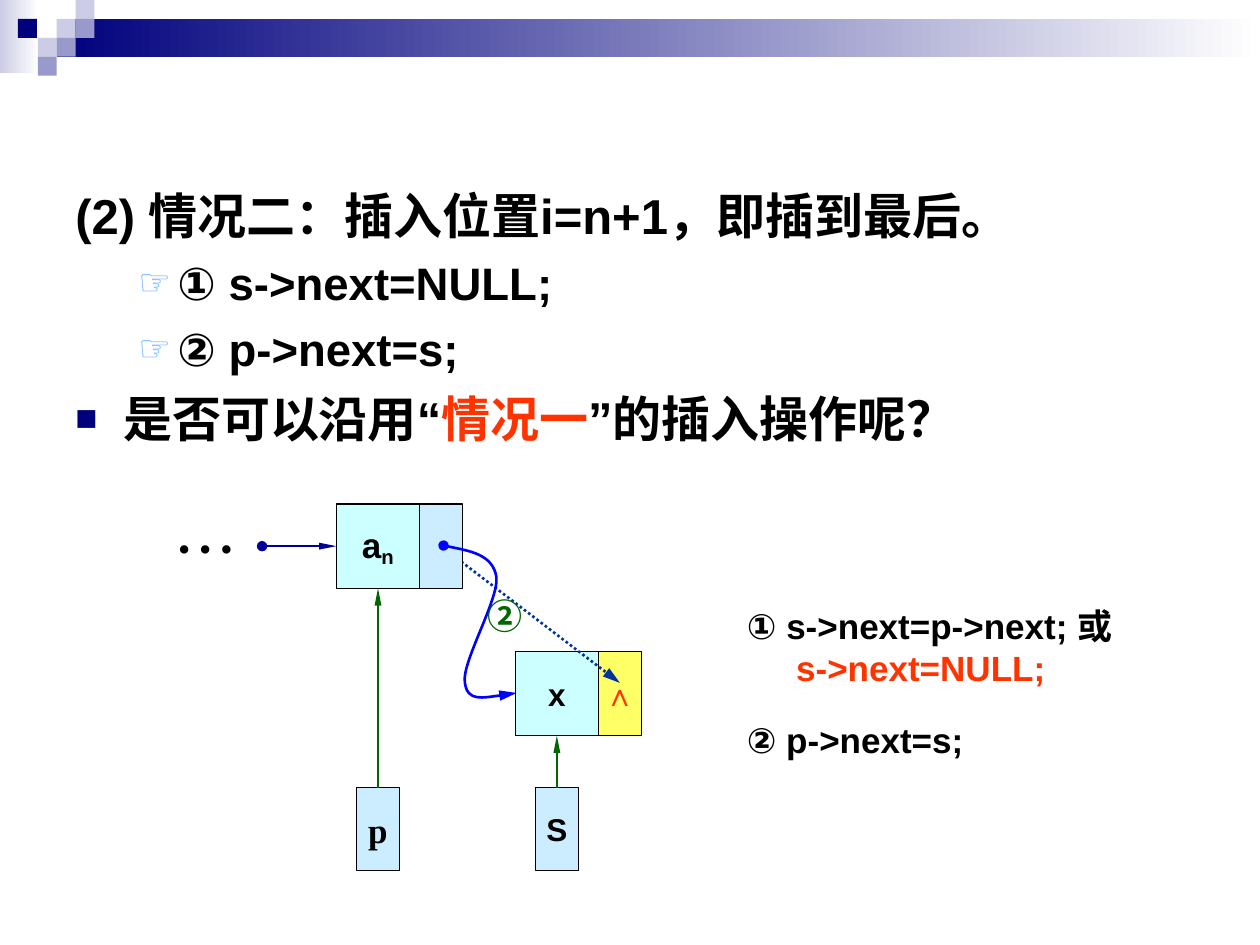
from lxml.etree import SubElement
from pptx import Presentation
from pptx.dml.color import RGBColor
from pptx.enum.dml import MSO_LINE as Dash
from pptx.enum.shapes import MSO_CONNECTOR as Link, MSO_SHAPE as Shape
from pptx.enum.text import MSO_ANCHOR as Anchor, PP_ALIGN as Align
from pptx.oxml.ns import qn
from pptx.util import Inches, Pt

BLACK = RGBColor(0x00, 0x00, 0x00)
WHITE = RGBColor(0xFF, 0xFF, 0xFF)
NAVY = RGBColor(0x00, 0x00, 0x7D)
LILAC = RGBColor(0xCC, 0xCC, 0xE6)
MAUVE = RGBColor(0x99, 0x99, 0xCC)
AQUA = RGBColor(0xCC, 0xFF, 0xFF)
PALE = RGBColor(0xCC, 0xEC, 0xFF)
YELLOW = RGBColor(0xFF, 0xFF, 0x66)
RED = RGBColor(0xFF, 0x33, 0x00)
GREEN = RGBColor(0x00, 0x66, 0x00)
SKY = RGBColor(0x67, 0xAF, 0xFF)
INK = RGBColor(0x00, 0x00, 0x99)
STEEL = RGBColor(0x00, 0x33, 0x99)
BLUE = RGBColor(0x00, 0x00, 0xFF)


def add_bullet(props, mark, color, size):
    tint = SubElement(props, qn("a:buClr"))
    SubElement(tint, qn("a:srgbClr"), val=str(color))
    SubElement(props, qn("a:buSzPct"), val=str(size * 1000))
    SubElement(props, qn("a:buFont"), typeface="Arial")
    SubElement(props, qn("a:buChar"), char=mark)


def write(frame, text, size=20, font="Arial", color=BLACK, bold=True,
          align=Align.LEFT, before=0, left=0, hang=0, bullet=None):
    para = frame.paragraphs[0]
    if para.runs:
        para = frame.add_paragraph()
    para.alignment = align
    para.space_before = Pt(before)
    props = para._p.get_or_add_pPr()
    props.set("marL", str(Inches(left)))
    props.set("indent", str(-Inches(hang)))
    if bullet:
        add_bullet(props, *bullet)
    parts = [(text, color)] if isinstance(text, str) else text
    for words, tint in parts:
        run = para.add_run()
        run.text = words
        run.font.size = Pt(size)
        run.font.name = font
        run.font.bold = bold
        run.font.color.rgb = tint
        SubElement(run._r.get_or_add_rPr(), qn("a:ea"), typeface=font)
    return para


def add_text(slide, x, y, w, h, wrap=True):
    box = slide.shapes.add_textbox(Inches(x), Inches(y), Inches(w), Inches(h))
    box.text_frame.word_wrap = wrap
    return box.text_frame


def add_rect(slide, x, y, w, h, fill, fade=False, edge=False):
    rect = slide.shapes.add_shape(
        Shape.RECTANGLE, Inches(x), Inches(y), Inches(w), Inches(h))
    rect.shadow.inherit = False
    if fade:
        rect.fill.gradient()
        rect.fill.gradient_angle = 0
        for stop, color in zip(rect.fill.gradient_stops, (fill, WHITE)):
            stop.color.rgb = color
    else:
        rect.fill.solid()
        rect.fill.fore_color.rgb = fill
    if edge:
        rect.line.color.rgb = BLACK
        rect.line.width = Pt(0.75)
    else:
        rect.line.fill.background()
    return rect


def add_cell(slide, x, y, w, h, fill, text=None, **form):
    cell = add_rect(slide, x, y, w, h, fill, edge=True)
    if text:
        frame = cell.text_frame
        frame.margin_left = frame.margin_right = 0
        frame.margin_top = frame.margin_bottom = 0
        frame.word_wrap = False
        frame.vertical_anchor = Anchor.MIDDLE
        write(frame, text, align=Align.CENTER, **form)
    return cell


def style_line(shape, color, dot=False, wide="sm"):
    shape.line.color.rgb = color
    shape.line.width = Pt(1.5)
    line = shape.line._get_or_add_ln()
    if dot:
        SubElement(line, qn("a:headEnd"), type="oval")
    SubElement(line, qn("a:tailEnd"), type="triangle", w=wide, len="lg")


def add_arrow(slide, x1, y1, x2, y2, color, dash=None, **form):
    arrow = slide.shapes.add_connector(
        Link.STRAIGHT, Inches(x1), Inches(y1), Inches(x2), Inches(y2))
    if dash:
        arrow.line.dash_style = dash
    style_line(arrow, color, **form)
    SubElement(arrow._element.spPr, qn("a:effectLst"))
    return arrow


def add_curve(slide, points, color):
    start, *rest = [(Inches(x), Inches(y)) for x, y in points]
    pen = slide.shapes.build_freeform(*start)
    pen.add_line_segments(rest, close=False)
    curve = pen.convert_to_shape()
    steps = curve._element.findall(".//" + qn("a:lnTo"))
    for i in range(0, len(steps), 3):
        bend = SubElement(steps[i].getparent(), qn("a:cubicBezTo"))
        for step in steps[i:i + 3]:
            bend.append(step[0])
            step.getparent().remove(step)
    curve.fill.background()
    curve.shadow.inherit = False
    style_line(curve, color, dot=True, wide="med")


def draw_banner(slide, x, y, w):
    unit = 0.15
    add_rect(slide, x, y, 0.31, 0.58, LILAC, fade=True)
    add_rect(slide, x + 3 * unit, y + unit, w - 3 * unit, 2 * unit, NAVY, fade=True)
    tiles = [(3, 1, LILAC), (4, 0, LILAC), (4, 1, MAUVE), (2, 2, LILAC),
             (0.95, 1, NAVY), (3, 2, MAUVE), (2, 3, MAUVE)]
    for col, row, fill in tiles:
        add_rect(slide, x + col * unit, y + row * unit, unit, unit, fill)


def draw_body(slide, x, y, w, h):
    frame = add_text(slide, x, y, w, h)
    write(frame, "(2) 情况二：插入位置i=n+1，即插到最后。", size=28, left=0.38, hang=0.38)
    for step in ("① s->next=NULL;", "② p->next=s;"):
        write(frame, step, size=26, before=6.5, left=0.81, hang=0.31,
              bullet=("☞", SKY, 80))
    ask = [("是否可以沿用“", BLACK), ("情况一", RED), ("”的插入操作呢？", BLACK)]
    write(frame, ask, size=28, before=7, left=0.38, hang=0.38,
          bullet=("■", NAVY, 75))


def draw_list(slide, x, y):
    data, link, tall = 0.66, 0.34, 0.67
    low = y + 1.17
    base = y + 2.25
    new = x + 1.42
    mid = y + tall / 2
    tail = add_cell(slide, x, y, data, tall, AQUA, "a")
    sub = write_sub(tail.text_frame.paragraphs[0])
    sub.text = "n"
    node = add_cell(slide, new, low, data, tall, AQUA, "x", size=18)
    add_cell(slide, new + data, low, link, tall, YELLOW, "∧", size=18, color=RED)
    for goal, left, name, size, font in (
            (tail, x, "p", 20, "Times New Roman"), (node, new, "S", 18, "Arial")):
        place = left + (data - link) / 2
        ref = add_cell(slide, place, base, link, data, PALE, name, size=size, font=font)
        arrow = add_arrow(slide, place, base, place, low, GREEN)
        arrow.begin_connect(ref, 0)
        arrow.end_connect(goal, 2)
    dots = add_text(slide, x - 1.5, y + 0.17, 0.92, 0.33, wrap=False)
    dots.margin_top = Inches(0.01)
    write(dots, "• • •", font="Times New Roman", bold=False, align=Align.CENTER)
    arrow = add_arrow(slide, x - 0.59, mid, x, mid, INK, dot=True)
    arrow.end_connect(tail, 1)
    add_arrow(slide, x + 0.83, mid, x + 2.25, y + 1.42, STEEL,
              dash=Dash.ROUND_DOT, dot=True, wide="med")
    add_cell(slide, x + data, y, link, tall, PALE)
    bends = [(0.85, 0.33), (1.04, 0.37), (1.24, 0.4), (1.27, 0.58), (1.29, 0.76),
             (0.99, 1.26), (1.02, 1.42), (1.04, 1.57), (1.24, 1.53), (1.43, 1.5)]
    add_curve(slide, [(x + dx, y + dy) for dx, dy in bends], BLUE)
    mark = add_text(slide, x + 1.1, y + 0.67, 0.48, 0.44, wrap=False)
    write(mark, "②", font="Noto Sans CJK SC", color=GREEN)


def write_sub(para):
    run = para.add_run()
    run.font.size = Pt(20)
    run.font.name = "Arial"
    run.font.bold = True
    run.font.color.rgb = BLACK
    run._r.get_or_add_rPr().set("baseline", "-16000")
    return run


def draw_code(slide, x, y):
    frame = add_text(slide, x, y, 3.25, 0.77)
    write(frame, "① s->next=p->next; 或")
    write(frame, "s->next=NULL;", color=RED, left=0.39)
    write(add_text(slide, x, y + 0.9, 1.96, 0.44, wrap=False), "② p->next=s;")


def main():
    deck = Presentation()
    deck.slide_width, deck.slide_height = Inches(10), Inches(7.5)
    slide = deck.slides.add_slide(deck.slide_layouts[6])
    draw_banner(slide, 0, 0, 10)
    draw_body(slide, 0.5, 1.42, 9, 5.33)
    draw_list(slide, 2.67, 4)
    draw_code(slide, 5.83, 4.75)
    deck.save("out.pptx")


if __name__ == "__main__":
    main()
